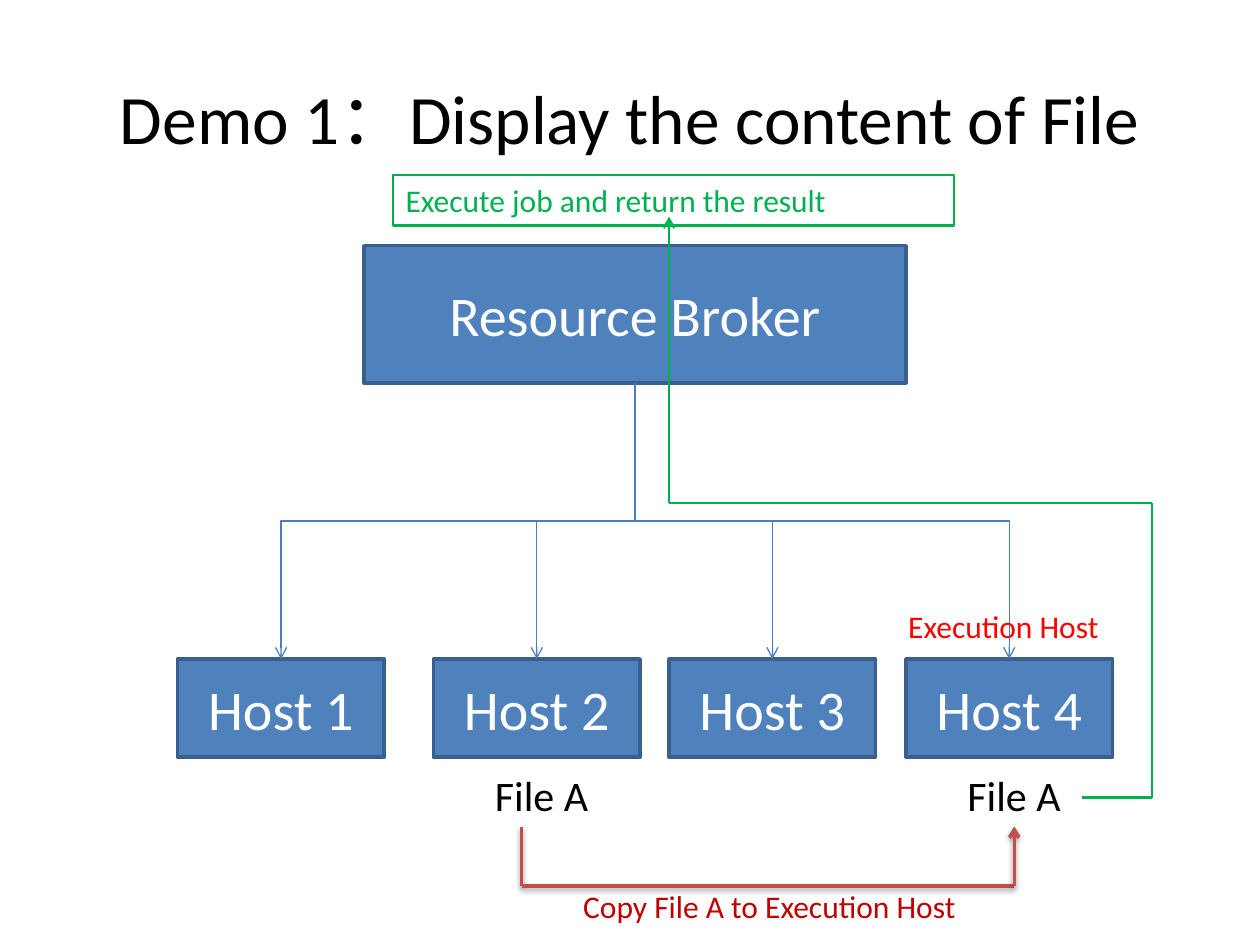
from typing import NamedTuple, Optional

import lxml.etree
import pptx
import pptx.dml.color
import pptx.enum.shapes
import pptx.enum.text
import pptx.oxml.ns
import pptx.util

RGB = pptx.dml.color.RGBColor
ALIGN = pptx.enum.text.PP_ALIGN
ANCHOR = pptx.enum.text.MSO_ANCHOR
CONNECTOR = pptx.enum.shapes.MSO_CONNECTOR
FIT_TEXT = pptx.enum.text.MSO_AUTO_SIZE.SHAPE_TO_FIT_TEXT

BLACK = RGB(0x00, 0x00, 0x00)
WHITE = RGB(0xFF, 0xFF, 0xFF)
BLUE = RGB(0x4F, 0x81, 0xBD)
DARK_BLUE = RGB(0x3A, 0x5F, 0x8C)
BRANCH_BLUE = RGB(0x4B, 0x7E, 0xBC)
RED = RGB(0xFF, 0x00, 0x00)
DARK_RED = RGB(0xC0, 0x00, 0x00)
BRICK = RGB(0xC0, 0x50, 0x4D)
GREEN = RGB(0x00, 0xB0, 0x50)

PX_PER_INCH = 100
SCALE = 914400 // PX_PER_INCH


class Node(NamedTuple):
    text: str
    left: int
    top: int
    width: int
    height: int


class Label(NamedTuple):
    text: str
    left: int
    top: int
    width: int
    height: int
    size: float
    color: RGB
    border: Optional[RGB] = None


class Route(NamedTuple):
    points: list[tuple[int, int]]
    color: RGB
    weight: float
    shadow: bool = False


TITLE = Label("Demo 1：Display the content of File", 50, 30, 900, 125, 39.6, BLACK)
HOSTS = [
    Node(f"Host {number}", left, 523, 164, 78)
    for number, left in enumerate((141, 344, 531, 719), start=1)
]
BROKER = Node("Resource Broker", 289, 195, 430, 109)
LABELS = [
    Label("File A", 383, 606, 117, 50, 24, BLACK),
    Label("File A", 758, 606, 117, 50, 24, BLACK),
    Label("Execution Host", 711, 477, 203, 40, 18, RED),
    Label("Copy File A to Execution Host", 453, 699, 375, 40, 18, DARK_RED),
]
RESULT = Label("Execute job and return the result", 312, 139, 445, 40, 18, GREEN, GREEN)
COPY_ROUTE = Route([(414, 656), (414, 703), (805, 703), (805, 656)], BRICK, 2, True)
RESULT_ROUTE = Route(
    [(859, 633), (914, 633), (914, 399), (531, 399), (531, 172)], GREEN, 1.25
)


def px(length: float) -> int:
    return round(length * SCALE)


def write(frame, text: str, size: float, color: RGB, align: ALIGN) -> None:
    frame.word_wrap = True
    paragraph = frame.paragraphs[0]
    paragraph.alignment = align
    run = paragraph.add_run()
    run.text = text
    formats = {"name": "Calibri", "size": pptx.util.Pt(size)}
    for name, value in formats.items():
        setattr(run.font, name, value)
    run.font.color.rgb = color


def draw_label(slide, label: Label, align: ALIGN = ALIGN.LEFT):
    box = slide.shapes.add_textbox(*map(px, label[1:5]))
    write(box.text_frame, label.text, label.size, label.color, align)
    box.text_frame.auto_size = FIT_TEXT
    if label.border is not None:
        box.line.color.rgb = label.border
        box.line.width = pptx.util.Pt(1.25)
    return box


def draw_node(slide, node: Node):
    box = slide.shapes.add_shape(
        pptx.enum.shapes.MSO_SHAPE.RECTANGLE, *map(px, node[1:])
    )
    box.shadow.inherit = False
    box.fill.solid()
    box.fill.fore_color.rgb = BLUE
    box.line.color.rgb = DARK_BLUE
    box.line.width = pptx.util.Pt(2)
    box.text_frame.vertical_anchor = ANCHOR.MIDDLE
    write(box.text_frame, node.text, 32, WHITE, ALIGN.CENTER)
    return box


def add_child(parent, tag: str, **attributes: str):
    return lxml.etree.SubElement(parent, pptx.oxml.ns.qn(tag), attributes)


def style_line(
    connector, color: RGB, weight: float, arrow: bool, shadow: bool = False
) -> None:
    connector.line.color.rgb = color
    connector.line.width = pptx.util.Pt(weight)
    if arrow:
        add_child(connector.line._get_or_add_ln(), "a:tailEnd", type="arrow")
    effects = add_child(connector._element.spPr, "a:effectLst")
    if shadow:
        outer = add_child(
            effects, "a:outerShdw",
            blurRad="40000", dist="20000", dir="5400000", rotWithShape="0",
        )
        tint = add_child(outer, "a:srgbClr", val=str(BLACK))
        add_child(tint, "a:alpha", val="38000")


def draw_route(slide, route: Route) -> None:
    last = len(route.points) - 1
    for index in range(last):
        ends = (*route.points[index], *route.points[index + 1])
        segment = slide.shapes.add_connector(CONNECTOR.STRAIGHT, *map(px, ends))
        style_line(
            segment, route.color, route.weight, index == last - 1, route.shadow
        )


def draw_branch(slide, broker, host) -> None:
    start_x = broker.left + broker.width // 2
    start_y = broker.top + broker.height
    end_x = host.left + host.width // 2
    branch = slide.shapes.add_connector(
        CONNECTOR.ELBOW, start_x, start_y, end_x, host.top
    )
    branch.begin_connect(broker, 2)
    branch.end_connect(host, 0)
    drop, reach = host.top - start_y, abs(end_x - start_x)
    to_right = end_x > start_x
    placement = {
        "left": (start_x + end_x - drop) // 2,
        "top": (start_y + host.top - reach) // 2,
        "width": drop,
        "height": reach,
    }
    for name, value in placement.items():
        setattr(branch, name, value)
    transform = branch._element.spPr.find(pptx.oxml.ns.qn("a:xfrm"))
    turn = {
        "rot": str((270 if to_right else 90) * 60000),
        "flipH": str(int(to_right)),
        "flipV": "0",
    }
    for name, value in turn.items():
        transform.set(name, value)
    style_line(branch, BRANCH_BLUE, 0.75, True)


def main() -> None:
    deck = pptx.Presentation()
    deck.slide_width, deck.slide_height = px(1000), px(750)
    slide = deck.slides.add_slide(deck.slide_layouts[6])

    title = draw_label(slide, TITLE, ALIGN.CENTER)
    title.text_frame.auto_size = pptx.enum.text.MSO_AUTO_SIZE.NONE
    title.text_frame.vertical_anchor = ANCHOR.MIDDLE
    hosts = [draw_node(slide, host) for host in HOSTS]
    broker = draw_node(slide, BROKER)
    for host in hosts:
        draw_branch(slide, broker, host)
    draw_route(slide, COPY_ROUTE)
    for label in LABELS:
        draw_label(slide, label)
    draw_route(slide, RESULT_ROUTE)
    draw_label(slide, RESULT)

    deck.save("out.pptx")


if __name__ == "__main__":
    main()
